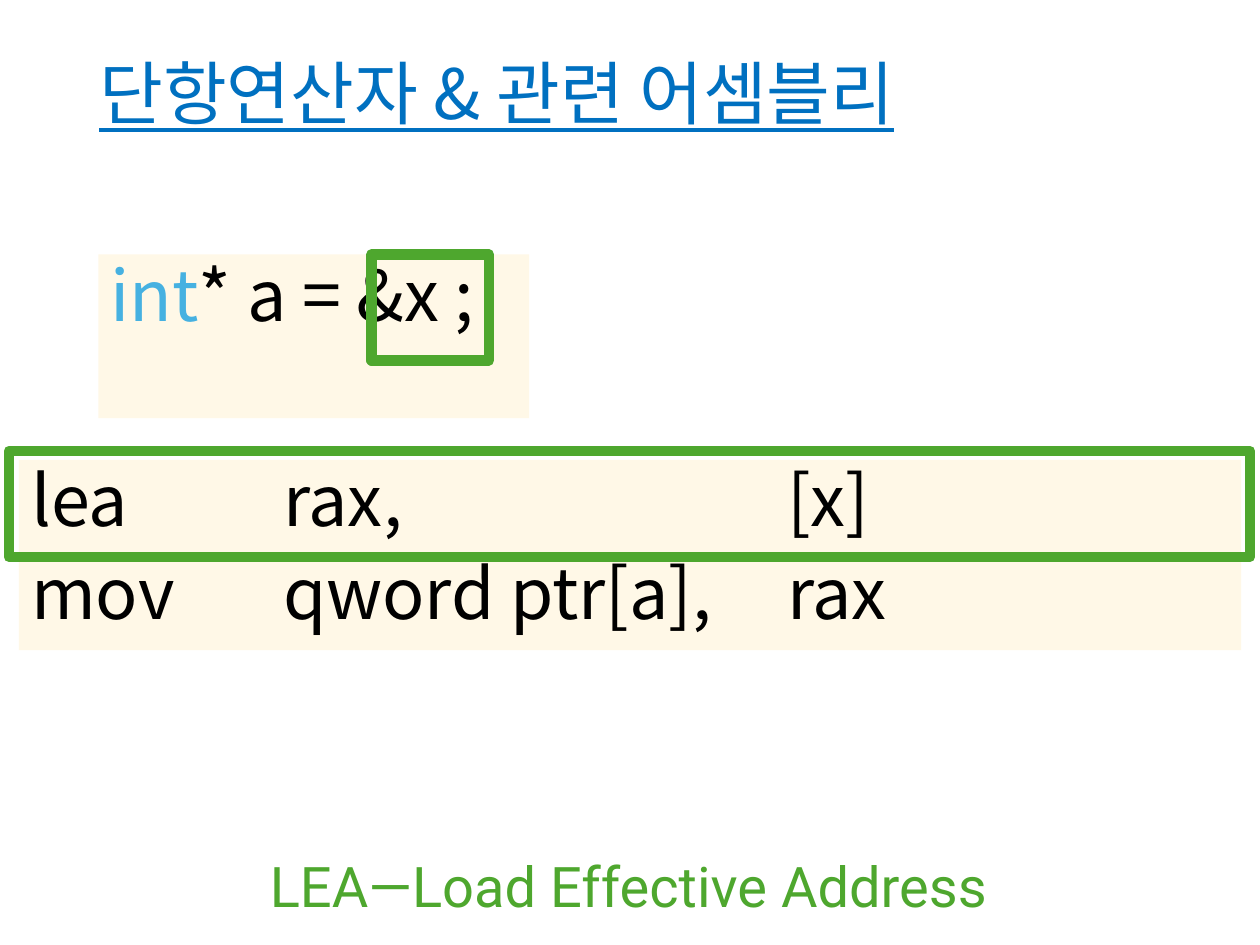
from dataclasses import dataclass

from lxml.etree import SubElement
from pptx import Presentation
from pptx.dml.color import RGBColor
from pptx.enum.shapes import MSO_SHAPE as Shape
from pptx.enum.text import MSO_ANCHOR as Anchor, PP_ALIGN as Align
from pptx.oxml.ns import qn
from pptx.util import Inches, Pt


@dataclass(frozen=True)
class Theme:
    title: str = "0070C0"
    keyword: str = "46B1E1"
    code: str = "000000"
    panel: str = "FFF8E7"
    accent: str = "4EA72E"
    korean_font: str = "Noto Sans CJK KR"
    latin_font: str = "Roboto"
    title_size: float = 39.6
    code_size: float = 40
    note_size: float = 32
    frame_width: float = 6


THEME = Theme()


def add_tab_stops(para, stops):
    tab_list = SubElement(para._p.get_or_add_pPr(), qn("a:tabLst"))
    for stop in stops:
        SubElement(tab_list, qn("a:tab"), pos=str(Inches(stop)), algn="l")


def add_text(page, at, lines, *, size, font=THEME.korean_font, fill=None,
             underline=False, align=Align.LEFT, anchor=Anchor.TOP,
             spacing=0.9, gap=0, tabs=()):
    """Add a text box; each line is a list of (text, colour) spans."""
    box = page.shapes.add_textbox(*map(Inches, at))
    if fill:
        box.fill.solid()
        box.fill.fore_color.rgb = RGBColor.from_string(fill)
    frame = box.text_frame
    frame.word_wrap = True
    frame.vertical_anchor = anchor
    for index, spans in enumerate(lines):
        para = frame.add_paragraph() if index else frame.paragraphs[0]
        para.alignment = align
        para.line_spacing = spacing
        if index:
            para.space_before = Pt(gap)
        if tabs:
            add_tab_stops(para, tabs)
        for text, colour in spans:
            span = para.add_run()
            span.text = text
            span.font.size = Pt(size)
            span.font.name = font
            span.font.underline = underline
            span.font.color.rgb = RGBColor.from_string(colour)
            SubElement(span.font._element, qn("a:ea"), typeface=font)


def add_highlight(page, at):
    frame = page.shapes.add_shape(Shape.RECTANGLE, *map(Inches, at))
    frame.shadow.inherit = False
    frame.fill.background()
    frame.line.color.rgb = RGBColor.from_string(THEME.accent)
    frame.line.width = Pt(THEME.frame_width)


def main():
    deck = Presentation()
    deck.slide_width, deck.slide_height = Inches(10), Inches(7.5)
    page = deck.slides.add_slide(deck.slide_layouts[6])

    add_text(page, (0.69, 0.4, 9.03, 0.74),
             [[("단항연산자 & 관련 어셈블리", THEME.title)]],
             size=THEME.title_size, underline=True, anchor=Anchor.MIDDLE)
    add_text(page, (0.78, 2.02, 3.42, 1.3),
             [[("int", THEME.keyword), ("* a = &x ;", THEME.code)]],
             size=THEME.code_size, fill=THEME.panel)
    assembly = ["lea\trax,\t[x]", "mov\tqword ptr[a],\trax"]
    add_text(page, (0.15, 3.65, 9.7, 1.51),
             [[(line, THEME.code)] for line in assembly],
             size=THEME.code_size, fill=THEME.panel, gap=10, tabs=(2, 6))

    for at in [(2.95, 2.02, 0.93, 0.84), (0.07, 3.58, 9.85, 0.84)]:
        add_highlight(page, at)

    add_text(page, (1.5, 6.71, 6.98, 0.64),
             [[("LEA—Load Effective Address", THEME.accent)]],
             size=THEME.note_size, font=THEME.latin_font,
             align=Align.CENTER, spacing=1.0)
    deck.save("out.pptx")


if __name__ == "__main__":
    main()
